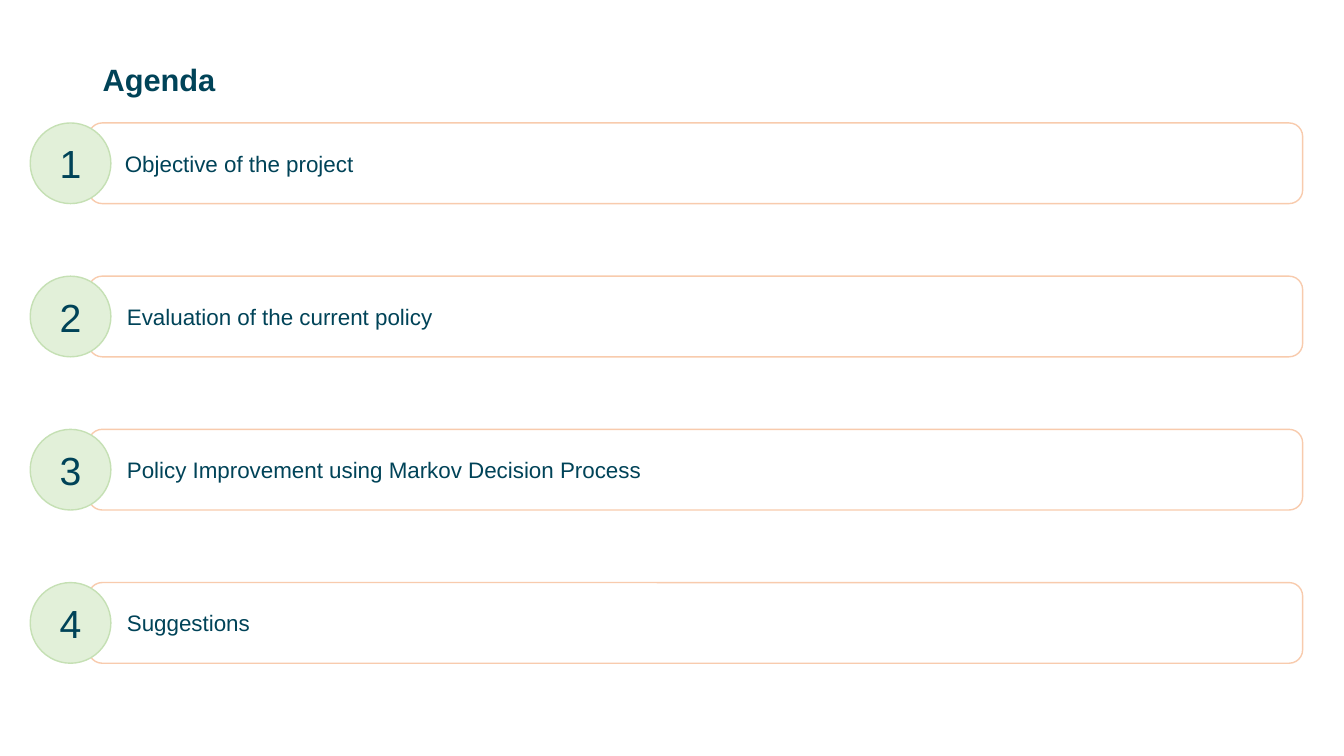
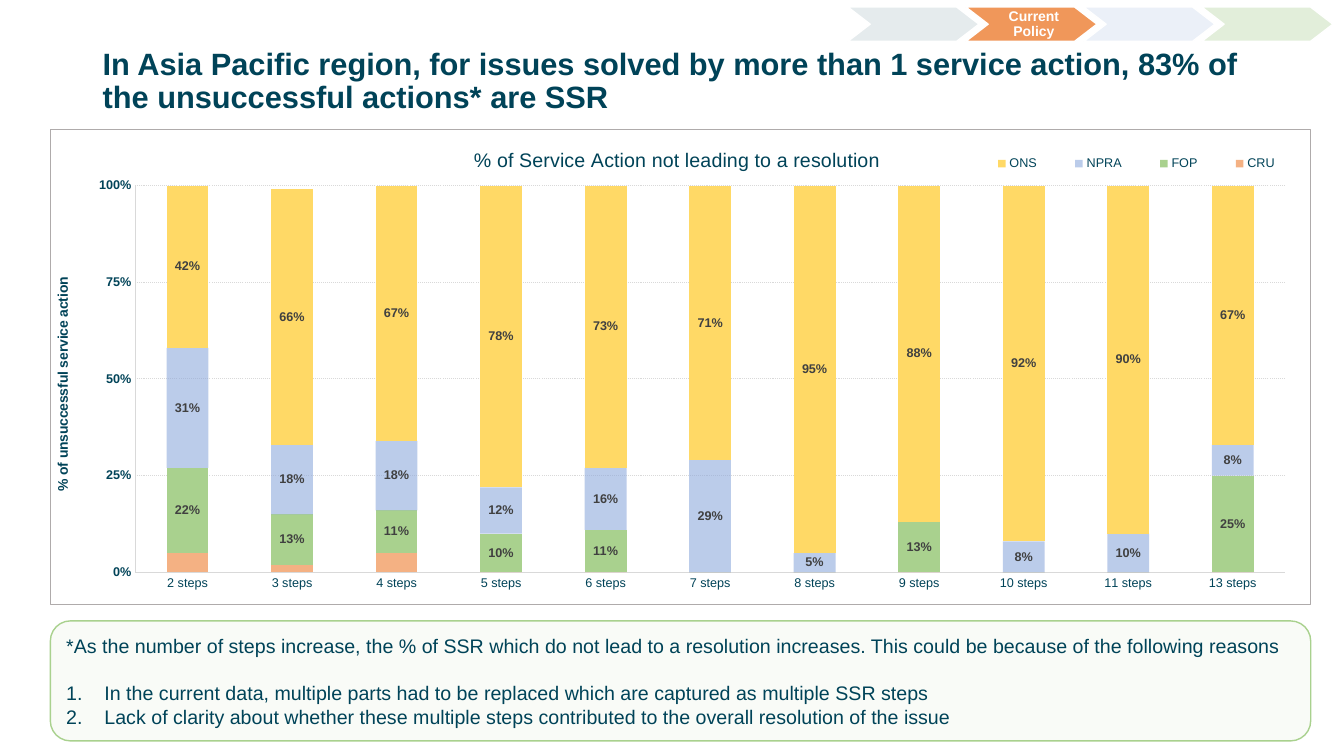
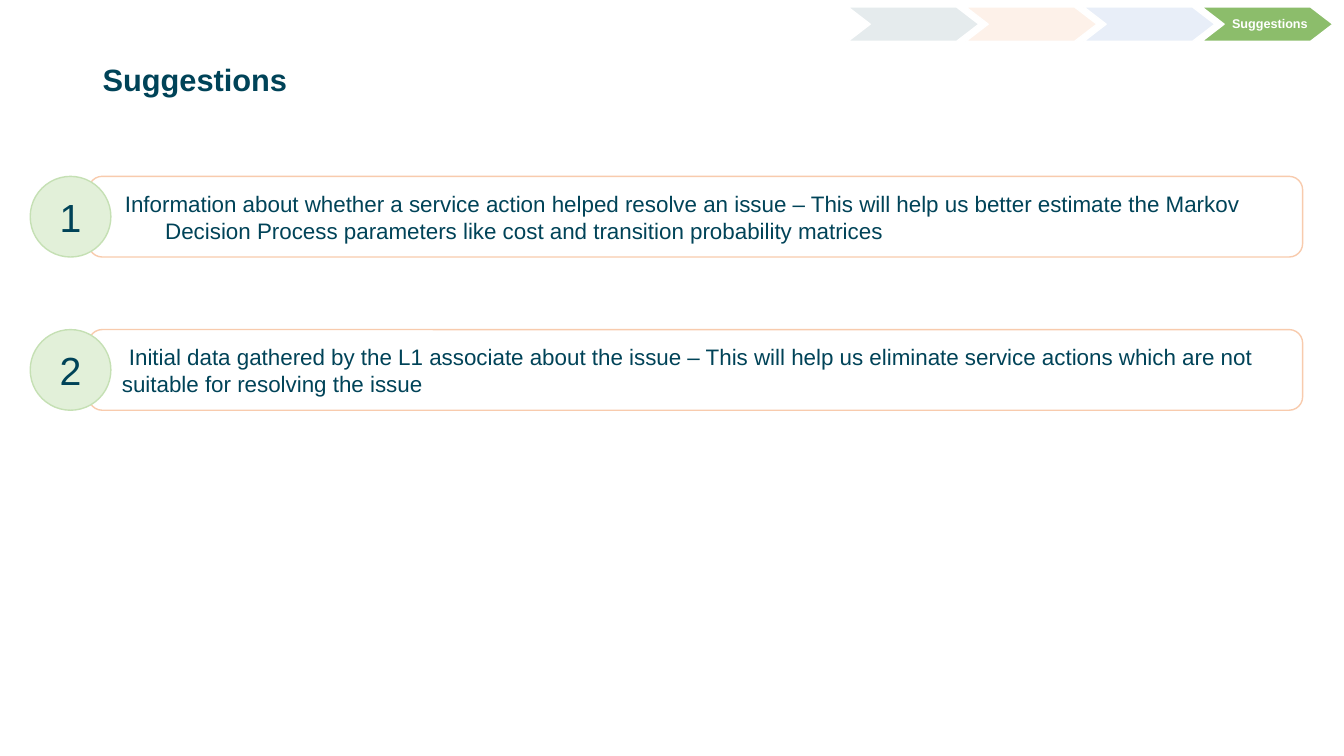
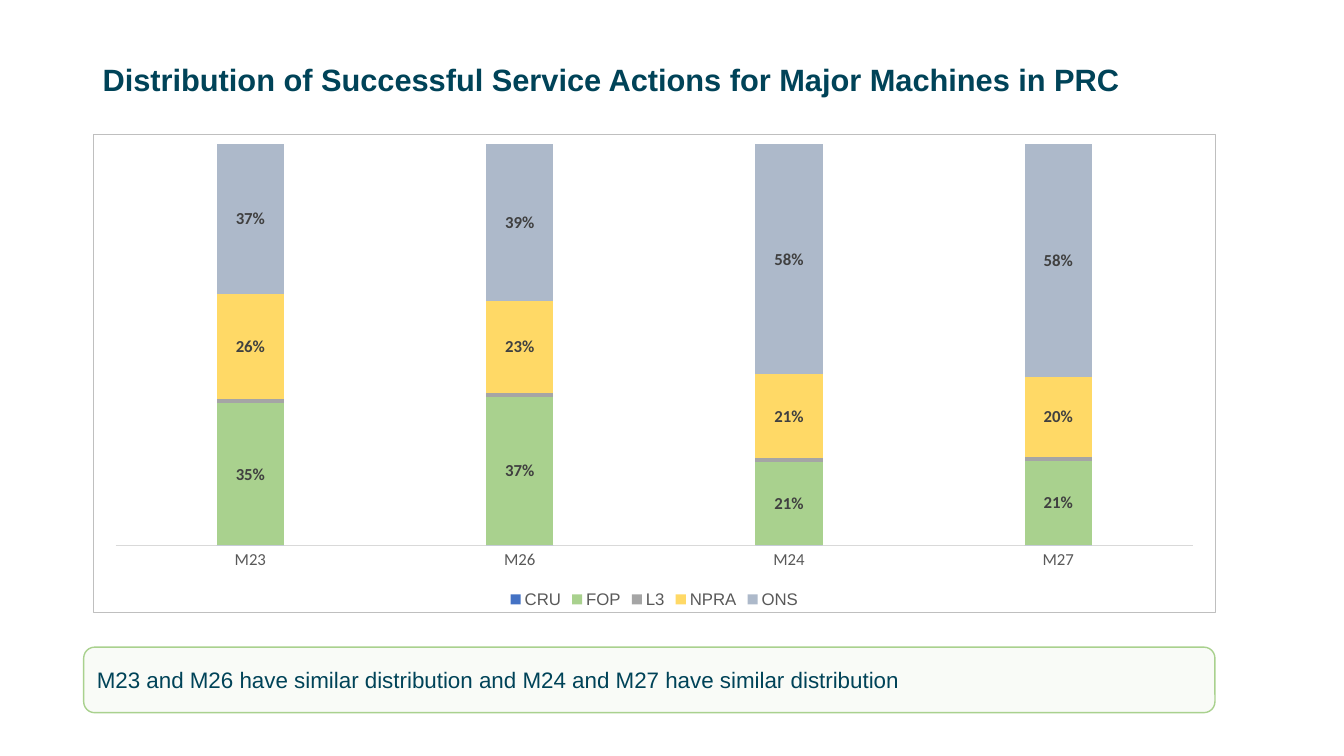
import lxml.etree
import pptx
import pptx.chart.data
import pptx.dml.color
import pptx.enum.chart
import pptx.enum.dml
import pptx.enum.shapes
import pptx.enum.text
import pptx.oxml.ns
import pptx.util

Inches = pptx.util.Inches
Pt = pptx.util.Pt
qn = pptx.oxml.ns.qn
SHAPE = pptx.enum.shapes.MSO_SHAPE
ALIGN = pptx.enum.text.PP_ALIGN
CHART = pptx.enum.chart

INK, WHITE, LABEL, GRID = "004358", "FFFFFF", "404040", "D9D9D9"
GREEN, YELLOW = "A9D18E", "FFD966"


def rgb(value):
    return pptx.dml.color.RGBColor.from_string(value)


def add(parent, tag, **attrs):
    return lxml.etree.SubElement(parent, qn(tag), **attrs)


def solid(fill, color, opacity=100):
    fill.solid()
    fill.fore_color.rgb = rgb(color)
    if opacity < 100:
        clr = fill._xPr.find(qn("a:solidFill"))[0]
        add(clr, "a:alpha", val=str(opacity * 1000))


def style_font(font, size, color=INK, bold=False, name="Arial"):
    font.size, font.bold, font.name = Pt(size), bold, name
    font.color.rgb = rgb(color)


def write(p, text, size=16, color=INK, bold=False, align=ALIGN.LEFT,
          spacing=None, before=None, left=0, first=0, numbered=False):
    """Fill one paragraph with formatted text."""
    pPr = p._p.get_or_add_pPr()
    if left or first:
        pPr.set("marL", str(Inches(left)))
        pPr.set("indent", str(Inches(first)))
    if numbered:
        add(pPr, "a:buFont", typeface="+mj-lt")
        add(pPr, "a:buAutoNum", type="arabicPeriod")
    p.alignment = align
    if spacing:
        p.line_spacing = spacing
    if before:
        p.space_before = Pt(before)
    r = p.add_run()
    r.text = text
    style_font(r.font, size, color, bold)


def place(element, index, mode=None, **fractions):
    """Give a chart part a fixed place, in fractions of the chart."""
    for old in element.findall(qn("c:layout")):
        element.remove(old)
    layout = lxml.etree.Element(qn("c:layout"))
    manual = add(layout, "c:manualLayout")
    if mode:
        add(manual, "c:layoutTarget", val=mode)
    for key in "xy":
        add(manual, f"c:{key}Mode", val="edge")
    for key, value in fractions.items():
        add(manual, f"c:{key}", val=str(value))
    element.insert(index, layout)


class Deck:
    def __init__(self):
        self.prs = pptx.Presentation()
        self.prs.slide_width = Inches(13.33)
        self.prs.slide_height = Inches(7.5)

    def slide(self, title):
        self.s = self.prs.slides.add_slide(self.prs.slide_layouts[6])
        sp = self.s.shapes.add_textbox(*map(Inches, (0.92, 0.4, 11.5, 0.82)))
        tf = self.frame(sp)
        write(tf.paragraphs[0], title, size=22, bold=True, spacing=0.9)

    def frame(self, sp, left=0.1, top=0.05, right=0.1):
        tf = sp.text_frame
        tf.word_wrap = True
        tf.vertical_anchor = pptx.enum.text.MSO_ANCHOR.MIDDLE
        tf.margin_left, tf.margin_right = Inches(left), Inches(right)
        tf.margin_top = tf.margin_bottom = Inches(top)
        return tf

    def shape(self, kind, x, y, w, h, fill, line, opacity=100):
        sp = self.s.shapes.add_shape(kind, *map(Inches, (x, y, w, h)))
        sp.shadow.inherit = False
        solid(sp.fill, fill, opacity)
        sp.line.color.rgb = rgb(line)
        sp.line.width = Pt(1)
        return sp

    def item(self, number, text, y, inset=0.34, **fmt):
        """A bordered bar led by a numbered circle."""
        sp = self.shape(SHAPE.ROUNDED_RECTANGLE, 0.88, y, 12.04, 0.8, WHITE, "F8CBAD")
        write(self.frame(sp, left=inset).paragraphs[0], text, **fmt)
        sp = self.shape(SHAPE.OVAL, 0.3, y, 0.8, 0.8, "E2F0D9", "C5E0B4")
        write(self.frame(sp).paragraphs[0], str(number), size=28, align=ALIGN.CENTER)

    def note(self, x, y, w, h):
        sp = self.shape(SHAPE.ROUNDED_RECTANGLE, x, y, w, h, "C5E0B4", GREEN, opacity=10)
        return self.frame(sp)

    def progress(self, fills, active, text, size):
        """The row of chevrons at the top right, with the active one named."""
        for i, (color, opacity) in enumerate(fills):
            sp = self.shape(SHAPE.CHEVRON, 8.41 + 1.17 * i, 0.07, 1.3, 0.34,
                            color, WHITE, opacity)
            sp.adjustments[0] = 0.65
            if i == active:
                tf = self.frame(sp, left=0.06, top=0.02, right=0.01)
                write(tf.paragraphs[0], text, size, WHITE, bold=True,
                      align=ALIGN.CENTER, spacing=0.9)

    def chart(self, kind, at, categories, series, gap, border, plot, legend, axis, labels):
        """A stacked column chart; series are (name, values, color, opacity, labelled)."""
        data = pptx.chart.data.CategoryChartData(number_format="0%")
        data.categories = categories
        for name, values, *_ in series:
            data.add_series(name, values)
        chart = self.s.shapes.add_chart(kind, *map(Inches, at), data).chart
        chart.font.name, chart.font.size = labels["name"], Pt(10)
        chart.has_title = False

        # Columns and their labels; zero values stay unlabelled
        bars = chart.plots[0]
        bars.gap_width, bars.overlap, bars.vary_by_categories = gap, 100, False
        for ser, (_, _, color, opacity, labelled) in zip(bars.series, series):
            solid(ser.format.fill, color, opacity)
            if labelled:
                dl = ser.data_labels
                dl.show_value = True
                dl.number_format, dl.number_format_is_linked = "0%;;", False
                style_font(dl.font, color=LABEL, bold=True, **labels)

        # Category axis and legend
        cat = chart.category_axis
        cat.major_tick_mark = CHART.XL_TICK_MARK.NONE
        cat.format.line.color.rgb = rgb(GRID)
        cat.format.line.width = Pt(0.75)
        style_font(cat.tick_labels.font, color=axis, **labels)
        chart.has_legend = True
        chart.legend.position = legend
        chart.legend.include_in_layout = False
        style_font(chart.legend.font, labels["size"], axis)

        # Plot area and border
        root = chart._chartSpace.chart
        place(root.plotArea, 0, "inner", **plot)
        spPr = lxml.etree.Element(qn("c:spPr"))
        add(spPr, "a:noFill")
        ln = add(spPr, "a:ln", w=str(Pt(0.75)))
        add(add(ln, "a:solidFill"), "a:srgbClr", val=border)
        root.addnext(spPr)
        return chart


def percent_axis(chart, title):
    ax = chart.value_axis
    ax.minimum_scale, ax.maximum_scale, ax.major_unit = 0, 1, 0.25
    ax.major_tick_mark = CHART.XL_TICK_MARK.NONE
    ax.tick_labels.number_format = "0%"
    ax.tick_labels.number_format_is_linked = False
    style_font(ax.tick_labels.font, 9, bold=True)
    for line in (ax.format.line, ax.major_gridlines.format.line):
        line.color.rgb = rgb(GRID)
        line.width = Pt(0.75)
    ax.major_gridlines.format.line.dash_style = pptx.enum.dml.MSO_LINE.ROUND_DOT
    write(ax.axis_title.text_frame.paragraphs[0], title, size=10, bold=True)
    place(ax.axis_title._element, 1, x=0, y=0.306)


def agenda(deck):
    deck.slide("Agenda")
    topics = ["Objective of the project", "Evaluation of the current policy",
              "Policy Improvement using Markov Decision Process", "Suggestions"]
    for i, text in enumerate(topics):
        deck.item(i + 1, text, 1.22 + 1.52 * i, inset=0.34 if i else 0.32)


def current_policy(deck):
    deck.slide("In Asia Pacific region, for issues solved by more than 1 service action, "
               "83% of the unsuccessful actions* are SSR")
    deck.progress([(INK, 10), ("ED7D31", 80), ("4472C4", 10), ("70AD47", 20)],
                  active=1, text="Current Policy", size=10)
    chart = deck.chart(
        CHART.XL_CHART_TYPE.COLUMN_STACKED, (0.5, 1.28, 12.5, 4.72),
        [f"{n} steps" for n in (2, 3, 4, 5, 6, 7, 8, 9, 10, 11, 13)],
        [("CRU", (0.05, 0.02, 0.05, 0, 0, 0, 0, 0, 0, 0, 0), "F4B183", 100, False),
         ("FOP", (0.22, 0.13, 0.11, 0.1, 0.11, 0, 0, 0.13, 0, 0, 0.25), GREEN, 100, True),
         ("NPRA", (0.31, 0.18, 0.18, 0.12, 0.16, 0.29, 0.05, 0, 0.08, 0.1, 0.08),
          "8FAADC", 60, True),
         ("ONS", (0.42, 0.66, 0.67, 0.78, 0.73, 0.71, 0.95, 0.88, 0.92, 0.9, 0.67),
          YELLOW, 100, True)],
        gap=150, border="AFABAB", plot=dict(x=0.067, y=0.118, w=0.913, h=0.815),
        legend=CHART.XL_LEGEND_POSITION.RIGHT, axis=INK,
        labels=dict(size=9, name="Arial"))
    percent_axis(chart, "% of unsuccessful service action")
    place(chart.legend._element, 1, x=0.725, y=0.042, w=0.274, h=0.06)
    write(chart.chart_title.text_frame.paragraphs[0],
          "% of Service Action not leading to a resolution", size=14)
    place(chart.chart_title._element, 1, x=0.333, y=0.03)

    # Reasons
    tf = deck.note(0.5, 6.16, 12.5, 1.19)
    write(tf.paragraphs[0], "*As the number of steps increase, the % of SSR which do not lead "
          "to a resolution increases. This could be because of the following reasons", size=14)
    reasons = ["In the current data, multiple parts had to be replaced which are captured "
               "as multiple SSR steps",
               "Lack of clarity about whether these multiple steps contributed to the "
               "overall resolution of the issue"]
    for i, text in enumerate(reasons):
        write(tf.add_paragraph(), text, size=14, before=0 if i else 17,
              left=0.38, first=-0.38, numbered=True)


def suggestions(deck):
    deck.slide("Suggestions")
    deck.item(1, "Information about whether a service action helped resolve an issue – This "
              "will help us better estimate the Markov Decision Process parameters like cost "
              "and transition probability matrices", 1.75, inset=0.32, left=0.4, first=-0.4)
    deck.item(2, "Initial data gathered by the L1 associate about the issue – This will help "
              "us eliminate service actions which are not suitable for resolving the issue",
              3.27, inset=0.29, first=0.07)
    deck.progress([(INK, 10), ("ED7D31", 10), ("8FAADC", 20), ("70AD47", 80)],
                  active=3, text="Suggestions", size=9)


def machines(deck):
    deck.slide("Distribution of Successful Service Actions for Major Machines in PRC")
    tf = deck.note(0.83, 6.42, 11.22, 0.65)
    write(tf.paragraphs[0],
          "M23 and M26 have similar distribution and M24 and M27 have similar distribution")
    chart = deck.chart(
        CHART.XL_CHART_TYPE.COLUMN_STACKED_100, (0.92, 1.33, 11.14, 4.75),
        ["M23", "M26", "M24", "M27"],
        [("CRU", (0, 0, 0, 0), "4472C4", 100, False),
         ("FOP", (0.35, 0.37, 0.21, 0.21), GREEN, 100, True),
         ("L3", (0.01, 0.01, 0.01, 0.01), "A5A5A5", 100, False),
         ("NPRA", (0.26, 0.23, 0.21, 0.2), YELLOW, 100, True),
         ("ONS", (0.37, 0.39, 0.58, 0.58), "ADB9CA", 100, True)],
        gap=300, border="BFBFBF", plot=dict(x=0.02, y=0.02, w=0.96, h=0.84),
        legend=CHART.XL_LEGEND_POSITION.BOTTOM, axis="595959",
        labels=dict(size=12, name="Calibri"))
    chart.value_axis.has_major_gridlines = False
    chart.value_axis.visible = False


def main():
    deck = Deck()
    for build in (agenda, current_policy, suggestions, machines):
        build(deck)
    deck.prs.save("out.pptx")


if __name__ == "__main__":
    main()
